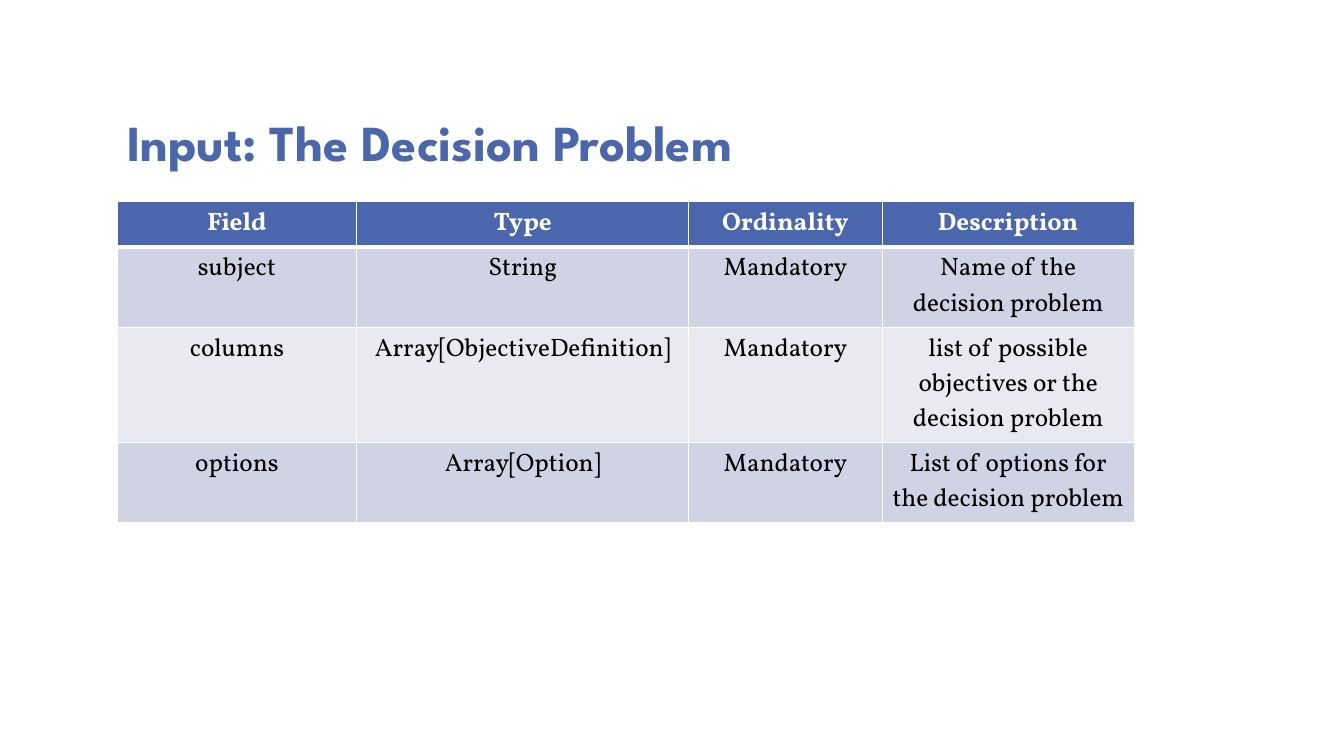
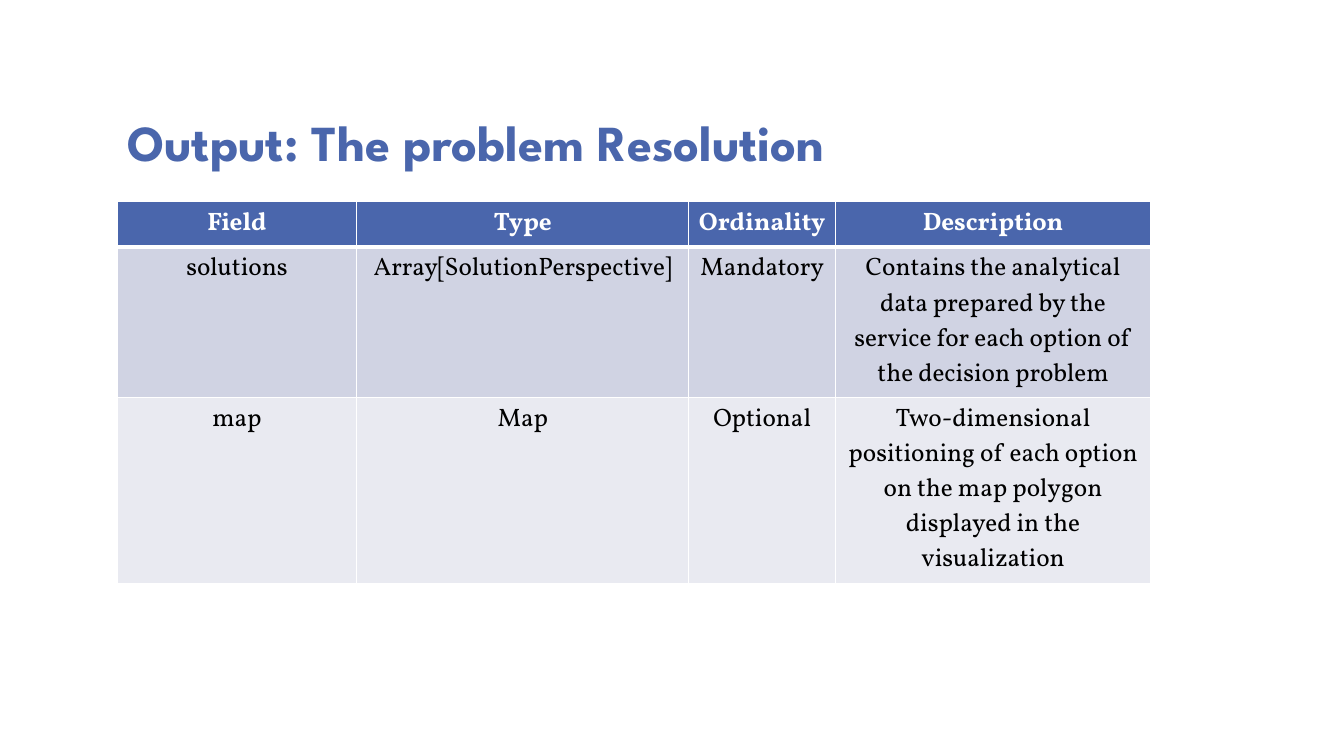
from lxml import etree
from pptx import Presentation
from pptx.dml.color import RGBColor
from pptx.enum.text import MSO_ANCHOR, MSO_AUTO_SIZE, PP_ALIGN
from pptx.oxml.ns import qn
from pptx.util import Inches, Pt

LEFT, CENTER = PP_ALIGN.LEFT, PP_ALIGN.CENTER
BOTTOM = MSO_ANCHOR.BOTTOM
NO_FIT = MSO_AUTO_SIZE.NONE
TITLE_ONLY = 5

COLORS = {
    "accent": "4A66AC",
    "odd": "D0D3E3",
    "even": "E9EAF1",
    "white": "FFFFFF",
    "black": "000000",
}
TITLE_FONT, BODY_FONT = "League Spartan", "Vollkorn"
MARGIN = Inches(1.16)
ROW_HEIGHT = 0.41
HEADER = ("Field", "Type", "Ordinality", "Description")

SLIDES = [
    ("Input: The Decision Problem", (2.38, 3.29, 1.92, 2.5), [
        ("subject", "String", "Mandatory", "Name of the decision problem"),
        ("columns", "Array[ObjectiveDefinition]", "Mandatory",
         "list of possible objectives or the decision problem"),
        ("options", "Array[Option]", "Mandatory",
         "List of options for the decision problem"),
    ]),
    ("Output: The problem Resolution", (2.38, 3.29, 1.46, 3.12), [
        ("solutions", "Array[SolutionPerspective]", "Mandatory",
         "Contains the analytical data prepared by the service "
         "for each option of the decision problem"),
        ("map", "Map", "Optional",
         "Two-dimensional positioning of each option on the map polygon "
         "displayed in the visualization"),
    ]),
]


def color(name):
    return RGBColor.from_string(COLORS[name])


def style_text(par, font, size, shade, bold, align):
    par.alignment = align
    for run in par.runs:
        run.font.name = font
        run.font.size = Pt(size)
        run.font.bold = bold
        run.font.color.rgb = color(shade)


def add_borders(cell, top, bottom):
    """Draw white cell edges; top and bottom are widths in points."""
    props = cell._tc.get_or_add_tcPr()
    for side, width in (("L", 1), ("R", 1), ("T", top), ("B", bottom)):
        line = etree.SubElement(props, qn(f"a:ln{side}"), w=str(Pt(width)))
        fill = etree.SubElement(line, qn("a:solidFill"))
        etree.SubElement(fill, qn("a:srgbClr"), val=COLORS["white"])


def set_title(slide, text):
    title = slide.shapes.title
    title.left, title.top = MARGIN, Inches(0.58)
    title.width, title.height = Inches(9.5), Inches(1.17)
    frame = title.text_frame
    frame.text = text
    frame.word_wrap = True
    frame.auto_size = NO_FIT
    frame.vertical_anchor = BOTTOM
    par = frame.paragraphs[0]
    par.line_spacing = 0.8
    style_text(par, TITLE_FONT, 36, "accent", True, LEFT)


def fill_cell(cell, text, row):
    head = row == 0
    add_borders(cell, top=3 if row == 1 else 1, bottom=3 if head else 1)
    cell.fill.solid()
    shade = "accent" if head else "odd" if row % 2 else "even"
    cell.fill.fore_color.rgb = color(shade)
    cell.text_frame.text = text
    style_text(cell.text_frame.paragraphs[0], BODY_FONT, 18,
               "white" if head else "black", head, CENTER)


def add_grid(slide, widths, body):
    rows = [HEADER, *body]
    frame = slide.shapes.add_table(
        len(rows), len(widths), MARGIN, Inches(2),
        Inches(sum(widths)), Inches(ROW_HEIGHT * len(rows)))
    table = frame.table
    for column, width in zip(table.columns, widths):
        column.width = Inches(width)
    for r, texts in enumerate(rows):
        for c, text in enumerate(texts):
            fill_cell(table.cell(r, c), text, r)


def main():
    deck = Presentation()
    deck.slide_width, deck.slide_height = Inches(13.33), Inches(7.5)
    for title, widths, body in SLIDES:
        slide = deck.slides.add_slide(deck.slide_layouts[TITLE_ONLY])
        set_title(slide, title)
        add_grid(slide, widths, body)
    deck.save("out.pptx")


if __name__ == "__main__":
    main()
